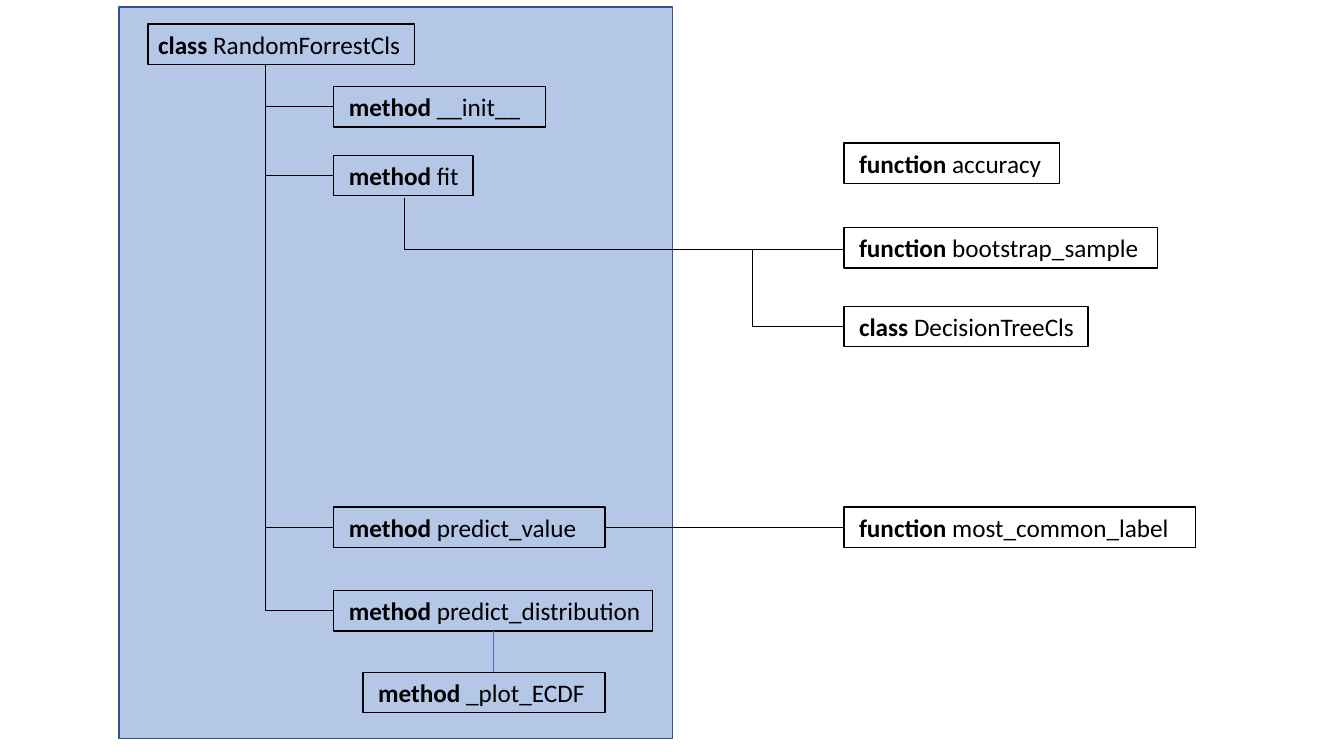
from pptx import Presentation
from pptx.dml.color import RGBColor
from pptx.enum.shapes import MSO_CONNECTOR, MSO_SHAPE
from pptx.enum.text import MSO_ANCHOR, MSO_AUTO_SIZE
from pptx.oxml.ns import qn
from pptx.util import Inches, Pt
from lxml import etree

COLORS = {"panel": "B4C7E7", "border": "325491", "ink": "000000", "accent": "4472C4"}
BOX_H = 0.4
TRUNK_X = 2.63
METHOD_X = 3.31
HELPER_X = 8.37

prs = Presentation()
prs.slide_width, prs.slide_height = Inches(13.33), Inches(7.5)
s = prs.slides.add_slide(prs.slide_layouts[6])

panel = s.shapes.add_shape(MSO_SHAPE.RECTANGLE, Inches(1.18), Inches(0.07), Inches(5.49), Inches(7.26))
panel.shadow.inherit = False
panel.fill.solid()
panel.fill.fore_color.rgb = RGBColor.from_string(COLORS["panel"])
panel.line.color.rgb = RGBColor.from_string(COLORS["border"])
panel.line.width = Pt(1)


def add_label(text, x, y, w, inset=0.15):
    sp = s.shapes.add_textbox(Inches(x), Inches(y), Inches(w), Inches(BOX_H))
    sp.line.color.rgb = RGBColor.from_string(COLORS["ink"])
    sp.line.width = Pt(1)
    tf = sp.text_frame
    tf.word_wrap = True
    tf.auto_size = MSO_AUTO_SIZE.SHAPE_TO_FIT_TEXT
    tf.vertical_anchor = MSO_ANCHOR.TOP
    tf.margin_left, tf.margin_right = Inches(inset), Inches(0)
    keyword, name = text.split(" ")
    for part, bold in ((keyword + " ", True), (name, False)):
        r = tf.paragraphs[0].add_run()
        r.text = part
        r.font.name, r.font.size, r.font.bold = "Calibri", Pt(18), bold
        r.font.color.rgb = RGBColor.from_string(COLORS["ink"])


def add_line(x1, y1, x2, y2, color="ink"):
    line = s.shapes.add_connector(MSO_CONNECTOR.STRAIGHT, Inches(x1), Inches(y1), Inches(x2), Inches(y2))
    line.line.color.rgb = RGBColor.from_string(COLORS[color])
    line.line.width = Pt(0.5)
    etree.SubElement(line._element.spPr, qn("a:effectLst"))


methods = [
    ("method __init__", 0.86, 2.1),
    ("method fit", 1.54, 1.38),
    ("method predict_value", 5.03, 2.69),
    ("method predict_distribution", 5.86, 3.16),
]
helpers = [
    ("function accuracy", 1.42, 2.14),
    ("function bootstrap_sample", 2.26, 3.11),
    ("class DecisionTreeCls", 3.04, 2.42),
    ("function most_common_label", 5.03, 3.49),
]

add_label("class RandomForrestCls", 1.47, 0.24, 2.64, inset=0.1)
add_line(TRUNK_X, 0.64, TRUNK_X, 6.06)
for text, y, w in methods:
    add_label(text, METHOD_X, y, w)
    add_line(METHOD_X, y + BOX_H / 2, TRUNK_X, y + BOX_H / 2)
for text, y, w in helpers:
    add_label(text, HELPER_X, y, w)
add_label("method _plot_ECDF", 3.6, 6.67, 2.4)

add_line(4.01, 1.96, 4.01, 2.47)
add_line(4.01, 2.47, HELPER_X, 2.47)
add_line(7.46, 2.47, 7.46, 3.24)
add_line(7.46, 3.24, HELPER_X, 3.24)
add_line(6, 5.23, HELPER_X, 5.23)
add_line(4.89, 6.26, 4.89, 6.67, color="accent")

prs.save("out.pptx")
